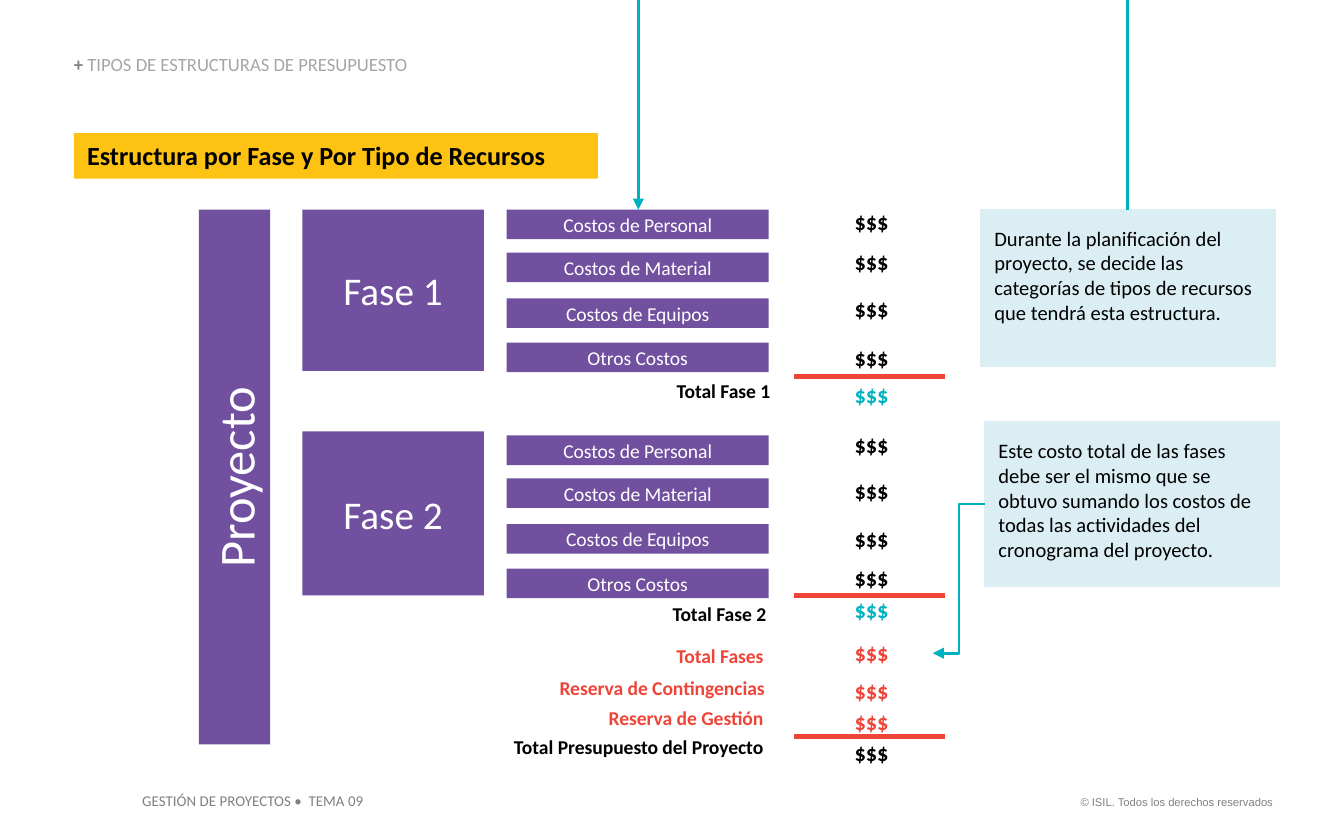
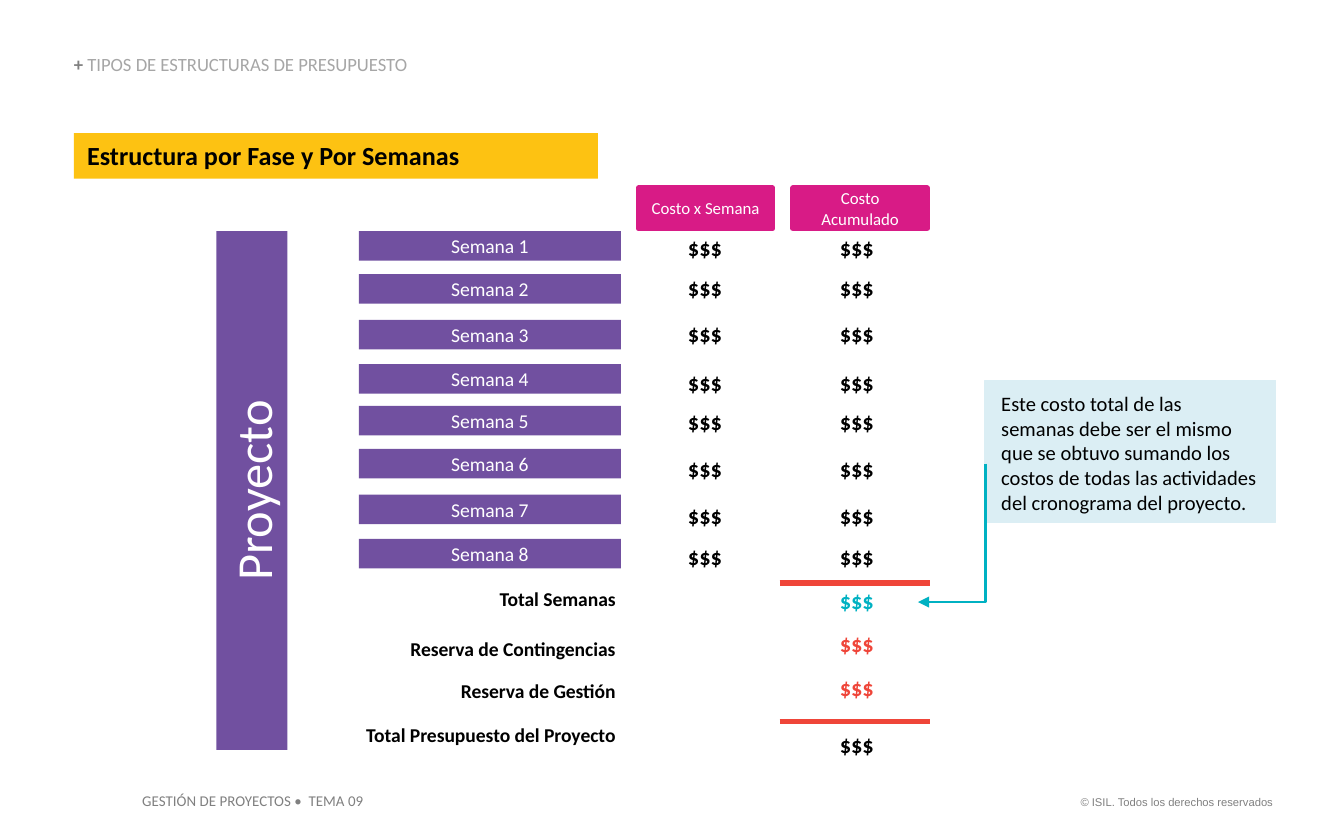
import pptx
import pptx.util
import pptx.dml.color
import pptx.enum.shapes
import pptx.enum.text
import pptx.oxml.ns
from dataclasses import dataclass
from lxml import etree

Inches = pptx.util.Inches
Pt = pptx.util.Pt
qn = pptx.oxml.ns.qn
ALIGN = pptx.enum.text.PP_ALIGN
ANCHOR = pptx.enum.text.MSO_ANCHOR
FIT = pptx.enum.text.MSO_AUTO_SIZE
CONNECTOR = pptx.enum.shapes.MSO_CONNECTOR
RECTANGLE = pptx.enum.shapes.MSO_SHAPE.RECTANGLE


@dataclass(frozen=True)
class Theme:
    font: str = "Calibri"
    footer_font: str = "Arial"
    purple: str = "7150A0"
    gold: str = "FDC212"
    magenta: str = "D81B86"
    pale: str = "DBEEF4"
    teal: str = "00B1C2"
    red: str = "EF4539"
    gray: str = "808080"
    light_gray: str = "A6A6A6"
    black: str = "000000"
    white: str = "FFFFFF"
    project: float = 27
    phase: float = 21
    banner: float = 14
    amount: float = 12
    note: float = 11
    label: float = 10.5
    title: float = 10
    header: float = 9
    footer: float = 8
    copyright: float = 6


THEME = Theme()

TITLE = ("+ ", "TIPOS DE ESTRUCTURAS DE PRESUPUESTO")
FOOTER = "GESTIÓN DE PROYECTOS •  TEMA 09"
COPYRIGHT = "© ISIL. Todos los derechos reservados"
PROJECT = "Proyecto"
AMOUNT = "$$$"
BAR_OFFSETS = (0, 0.32, 0.66, 0.99)

COSTS = ("Costos de Personal", "Costos de Material", "Costos de Equipos", "Otros Costos")
PHASES = [
    {"name": "Fase 1", "box": (2.25, 1.56, 1.35, 1.2), "bars": 1.56,
     "amounts": (1.5, 1.8, 2.15, 2.51)},
    {"name": "Fase 2", "box": (2.25, 3.21, 1.35, 1.22), "bars": 3.24,
     "amounts": (3.16, 3.5, 3.86, 4.15)},
]
PHASE_TOTALS = [
    ("Total Fase 1", (4.56, 2.77, 1.27), THEME.black, 2.79, THEME.teal),
    ("Total Fase 2", (4.53, 4.43, 1.27), THEME.black, 4.39, THEME.teal),
    ("Total Fases", (1.48, 4.74, 4.3), THEME.red, 4.71, THEME.red),
    ("Reserva de Contingencias", (1.49, 4.98, 4.3), THEME.red, 4.99, THEME.red),
    ("Reserva de Gestión", (1.48, 5.2, 4.3), THEME.red, 5.22, THEME.red),
    ("Total Presupuesto del Proyecto", (1.48, 5.42, 4.3), THEME.black, 5.45, THEME.black),
]
PHASE_NOTES = [
    ("Durante la planificación del proyecto, se decide las categorías de tipos de "
     "recursos que tendrá esta estructura.", (7.3, 1.56, 2.19, 1.17)),
    ("Este costo total de las fases debe ser el mismo que se obtuvo sumando los costos "
     "de todas las actividades del cronograma del proyecto.", (7.33, 3.14, 2.19, 1.22)),
]

WEEK_GROUPS = [
    (1.72, ("Semana 1", "Semana 2", "Semana 3", "Semana 4")),
    (3.02, ("Semana 5", "Semana 6", "Semana 7", "Semana 8")),
]
WEEK_AMOUNTS = (1.69, 1.99, 2.33, 2.7, 2.99, 3.34, 3.69, 3.99)
WEEK_COLUMNS = [("Costo x Semana", 4.75, 4.79), ("Costo Acumulado", 5.9, 5.92)]
WEEK_TOTALS = [
    ("Total Semanas", (2.34, 4.32, 2.34), THEME.black, 4.32, THEME.teal),
    ("Reserva de Contingencias", (2.34, 4.69, 2.34), THEME.black, 4.64, THEME.red),
    ("Reserva de Gestión", (2.34, 5, 2.34), THEME.black, 4.97, THEME.red),
    ("Total Presupuesto del Proyecto", (2.34, 5.33, 2.34), THEME.black, 5.39, THEME.black),
]
WEEK_NOTE = ("Este costo total de las semanas debe ser el mismo que se obtuvo sumando los "
             "costos de todas las actividades del cronograma del proyecto.")


def rgb(color):
    return pptx.dml.color.RGBColor.from_string(color)


def write(shape, text, size, color, bold=False, align=ALIGN.LEFT, anchor=ANCHOR.TOP,
          margins=(0.1, 0.05, 0.1, 0.05), font=THEME.font, wrap=True):
    frame = shape.text_frame
    frame.word_wrap = wrap
    frame.vertical_anchor = anchor
    (frame.margin_left, frame.margin_top,
     frame.margin_right, frame.margin_bottom) = map(Inches, margins)
    paragraph = frame.paragraphs[0]
    paragraph.text = text
    paragraph.alignment = align
    paragraph.font.name = font
    paragraph.font.size = Pt(size)
    paragraph.font.bold = bold
    paragraph.font.color.rgb = rgb(color)


def add_text(slide, box, text, size, color, **options):
    shape = slide.shapes.add_textbox(*map(Inches, box))
    write(shape, text, size, color, **options)
    shape.text_frame.auto_size = FIT.SHAPE_TO_FIT_TEXT


def add_box(slide, box, fill, text, size, color, border=0, **options):
    shape = slide.shapes.add_shape(RECTANGLE, *map(Inches, box))
    shape.shadow.inherit = False
    shape.fill.solid()
    shape.fill.fore_color.rgb = rgb(fill)
    if border:
        shape.line.color.rgb = rgb(fill)
        shape.line.width = Pt(border)
    else:
        shape.line.fill.background()
    write(shape, text, size, color, **options)
    return shape


def add_block(slide, box, text, size, fill=THEME.purple, border=0):
    return add_box(slide, box, fill, text, size, THEME.white, border=border,
                   align=ALIGN.CENTER, anchor=ANCHOR.MIDDLE)


def add_project(slide, box):
    shape = add_block(slide, box, PROJECT, THEME.project)
    shape.text_frame._txBody.bodyPr.set("vert", "vert270")


def add_bars(slide, left, top, names):
    for name, offset in zip(names, BAR_OFFSETS):
        add_block(slide, (left, top + offset, 1.95, 0.22), name, THEME.label)


def add_amount(slide, left, top, color=THEME.black):
    add_text(slide, (left, top, 0.91, 0.3), AMOUNT, THEME.amount, color,
             bold=True, align=ALIGN.CENTER)


def add_totals(slide, totals, amount_left):
    for label, place, color, amount_top, amount_color in totals:
        add_text(slide, (*place, 0.28), label, THEME.label, color,
                 bold=True, align=ALIGN.RIGHT)
        add_amount(slide, amount_left, amount_top, amount_color)


def add_note(slide, box, text, margins):
    add_box(slide, box, THEME.pale, text, THEME.note, THEME.black,
            border=0.75, margins=margins)


def add_line(slide, start, end, color=THEME.teal, width=1.5, arrow=False,
             kind=CONNECTOR.STRAIGHT):
    connector = slide.shapes.add_connector(kind, *map(Inches, (*start, *end)))
    connector.line.color.rgb = rgb(color)
    connector.line.width = Pt(width)
    etree.SubElement(connector.element.spPr, qn("a:effectLst"))
    if arrow:
        etree.SubElement(connector.line._get_or_add_ln(), qn("a:tailEnd"), type="triangle")
    return connector


def add_corner_arrow(slide, start, end):
    center_x, center_y = (start[0] + end[0]) / 2, (start[1] + end[1]) / 2
    half_width, half_height = (end[1] - start[1]) / 2, (start[0] - end[0]) / 2
    connector = add_line(slide, (center_x - half_width, center_y - half_height),
                         (center_x + half_width, center_y + half_height),
                         arrow=True, kind=CONNECTOR.ELBOW)
    properties = connector.element.spPr
    properties.find(qn("a:xfrm")).set("rot", "5400000")
    properties.find(qn("a:prstGeom")).set("prst", "bentConnector2")


def add_sum_lines(slide, left, tops):
    for top in tops:
        add_line(slide, (left, top), (left + 1.12, top), THEME.red, 3)


def add_base_slide(presentation, banner):
    slide = presentation.slides.add_slide(presentation.slide_layouts[5])
    title = slide.shapes.title
    title.left, title.top, title.width, title.height = map(Inches, (0.55, 0.41, 6.93, 0.15))
    write(title, "", THEME.title, THEME.light_gray, anchor=ANCHOR.BOTTOM, margins=(0, 0, 0, 0))
    title.text_frame.auto_size = FIT.SHAPE_TO_FIT_TEXT
    paragraph = title.text_frame.paragraphs[0]
    paragraph.line_spacing = 0.9
    for text, color, bold in zip(TITLE, (THEME.gray, THEME.light_gray), (True, False)):
        run = paragraph.add_run()
        run.text = text
        run.font.bold = bold
        run.font.color.rgb = rgb(color)
    add_box(slide, (0.55, 0.99, 3.9, 0.34), THEME.gold, banner, THEME.banner,
            THEME.black, bold=True)
    add_text(slide, (0.96, 5.84, 1.85, 0.24), FOOTER, THEME.footer, THEME.gray, wrap=False)
    add_text(slide, (7.91, 5.87, 1.66, 0.2), COPYRIGHT, THEME.copyright, THEME.gray,
             font=THEME.footer_font, align=ALIGN.RIGHT, wrap=False)
    return slide


def build_phase_slide(presentation):
    slide = add_base_slide(presentation, "Estructura por Fase y Por Tipo de Recursos")
    add_project(slide, (1.48, 1.56, 0.53, 3.98))
    for phase in PHASES:
        add_block(slide, phase["box"], phase["name"], THEME.phase)
        add_bars(slide, 3.77, phase["bars"], COSTS)
        for top in phase["amounts"]:
            add_amount(slide, 6.03, top)
    add_totals(slide, PHASE_TOTALS, 6.03)
    add_sum_lines(slide, 5.91, (2.8, 4.43, 5.48))
    for text, box in PHASE_NOTES:
        add_note(slide, box, text, (0.1, 0.12, 0.1, 0.05))
    add_line(slide, (7.33, 3.75), (6.94, 4.86), arrow=True, kind=CONNECTOR.ELBOW)
    add_line(slide, (8.39, 1.56), (8.39, 0))
    add_line(slide, (4.75, 0), (4.75, 1.56), arrow=True)


def build_week_slide(presentation):
    slide = add_base_slide(presentation, "Estructura por Fase y Por Semanas")
    add_project(slide, (1.61, 1.72, 0.53, 3.86))
    for top, weeks in WEEK_GROUPS:
        add_bars(slide, 2.67, top, weeks)
    for header, header_left, amount_left in WEEK_COLUMNS:
        add_block(slide, (header_left, 1.4, 1, 0.3), header, THEME.header, THEME.magenta, 3)
        for top in WEEK_AMOUNTS:
            add_amount(slide, amount_left, top)
    add_totals(slide, WEEK_TOTALS, 5.92)
    add_sum_lines(slide, 5.8, (4.34, 5.37))
    add_note(slide, (7.33, 2.83, 2.16, 1.06), WEEK_NOTE, (0.12, 0.08, 0.12, 0.05))
    add_corner_arrow(slide, (7.33, 3.45), (6.83, 4.48))


def main():
    presentation = pptx.Presentation()
    presentation.slide_width = Inches(10)
    presentation.slide_height = Inches(6.25)
    build_phase_slide(presentation)
    build_week_slide(presentation)
    presentation.save("out.pptx")


if __name__ == "__main__":
    main()
